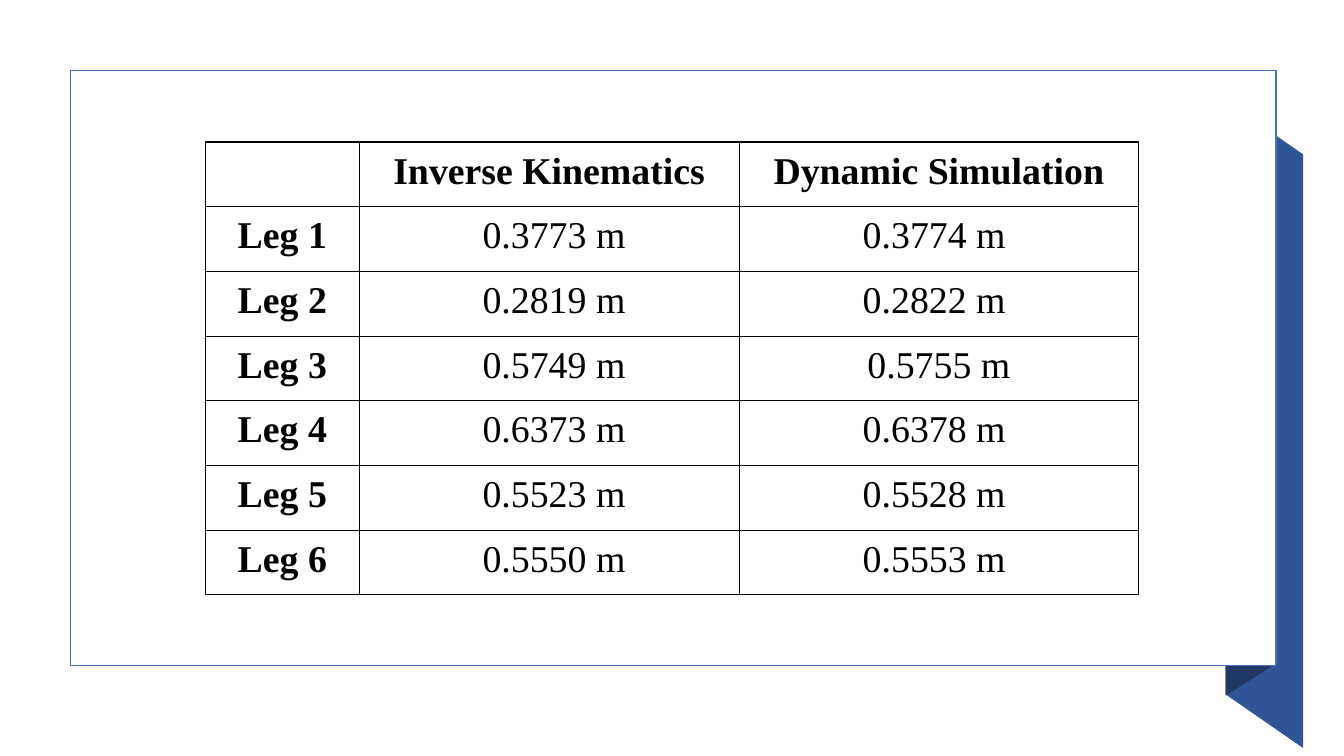
from lxml import etree
from pptx import Presentation
from pptx.dml.color import RGBColor
from pptx.enum import shapes, text
from pptx.oxml import ns
from pptx.util import Cm, Pt

# Content
HEADINGS = ["", "Inverse Kinematics", "Dynamic Simulation"]
LEGS = [
    ("Leg 1", "0.3773 m", "0.3774 m"),
    ("Leg 2", "0.2819 m", "0.2822 m"),
    ("Leg 3", "0.5749 m", "0.5755 m"),
    ("Leg 4", "0.6373 m", "0.6378 m"),
    ("Leg 5", "0.5523 m", "0.5528 m"),
    ("Leg 6", "0.5550 m", "0.5553 m"),
]
CENTRED_LEG = 3  # its simulated length sits in the middle of the column

# Look, lengths in centimetres
FONT = "Times New Roman"
BLACK = RGBColor(0x00, 0x00, 0x00)
WHITE = RGBColor(0xFF, 0xFF, 0xFF)
BLUE = RGBColor(0x44, 0x72, 0xC4)
RIBBON_BLUE = RGBColor(0x2F, 0x55, 0x97)
FOLD_BLUE = RGBColor(0x20, 0x38, 0x64)
RIBBON = [(32.84, 18.85), (30.89, 17.5), (30.89, 2.54), (32.84, 3.89)]
FOLD = [(32.05, 16.79), (30.89, 17.53), (30.89, 2.54), (32.05, 1.78)]
CARD = (1.78, 1.78, 30.38, 14.99)
TABLE_LEFT, TABLE_TOP = 5.18, 3.58
COLUMN_WIDTHS = [3.87, 9.58, 10.06]
ROW_HEIGHT = 1.63
SIDE_MARGIN, TOP_MARGIN, NUDGE = 0.43, 0.05, 0.24


def draw_panel(slide, corners, colour):
    start, *rest = [(Cm(x), Cm(y)) for x, y in corners]
    outline = slide.shapes.build_freeform(*start)
    outline.add_line_segments(rest, close=True)
    panel = outline.convert_to_shape()
    panel.shadow.inherit = False
    panel.fill.solid()
    panel.fill.fore_color.rgb = colour
    panel.line.fill.background()


def write(frame, words, size=27, bold=False, colour=BLACK):
    paragraph = frame.paragraphs[0]
    paragraph.alignment = text.PP_ALIGN.CENTER
    paragraph.line_spacing = 1.15
    run = paragraph.add_run()
    run.text = words
    run.font.name = FONT
    run.font.size = Pt(size)
    run.font.bold = bold
    run.font.color.rgb = colour


def frame_cell(cell, left=SIDE_MARGIN, right=SIDE_MARGIN):
    cell.margin_left, cell.margin_right = Cm(left), Cm(right)
    cell.margin_top, cell.margin_bottom = Cm(TOP_MARGIN), 0
    properties = cell._tc.get_or_add_tcPr()
    for side in ("a:lnL", "a:lnR", "a:lnT", "a:lnB"):
        border = etree.SubElement(properties, ns.qn(side), w=str(Pt(1)))
        fill = etree.SubElement(border, ns.qn("a:solidFill"))
        etree.SubElement(fill, ns.qn("a:srgbClr"), val=str(BLACK))
    cell.fill.background()


def main():
    deck = Presentation()
    deck.slide_width, deck.slide_height = Cm(33.87), Cm(19.05)
    slide = deck.slides.add_slide(deck.slide_layouts[6])

    # Ribbon behind the card
    draw_panel(slide, RIBBON, RIBBON_BLUE)
    draw_panel(slide, FOLD, FOLD_BLUE)

    # Card
    card = slide.shapes.add_shape(shapes.MSO_SHAPE.RECTANGLE, *map(Cm, CARD))
    card.shadow.inherit = False
    card.fill.solid()
    card.fill.fore_color.rgb = WHITE
    card.line.color.rgb = BLUE
    card.line.width = Pt(1)

    # Leg lengths
    rows = [HEADINGS, *LEGS]
    leg_table = slide.shapes.add_table(
        len(rows), len(HEADINGS), Cm(TABLE_LEFT), Cm(TABLE_TOP),
        Cm(sum(COLUMN_WIDTHS)), Cm(ROW_HEIGHT * len(rows))).table
    leg_table.first_row = leg_table.horz_banding = False
    for column, width in zip(leg_table.columns, COLUMN_WIDTHS):
        column.width = Cm(width)
    for r, entries in enumerate(rows):
        leg_table.rows[r].height = Cm(ROW_HEIGHT)
        for c, words in enumerate(entries):
            cell = leg_table.cell(r, c)
            left = right = SIDE_MARGIN
            if r > 0 and c == 1:
                left += NUDGE
            elif r > 0 and c == 2 and r != CENTRED_LEG:
                right += NUDGE
            frame_cell(cell, left, right)
            if words:
                write(cell.text_frame, words, bold=r == 0 or c == 0)

    deck.save("out.pptx")


if __name__ == "__main__":
    main()
